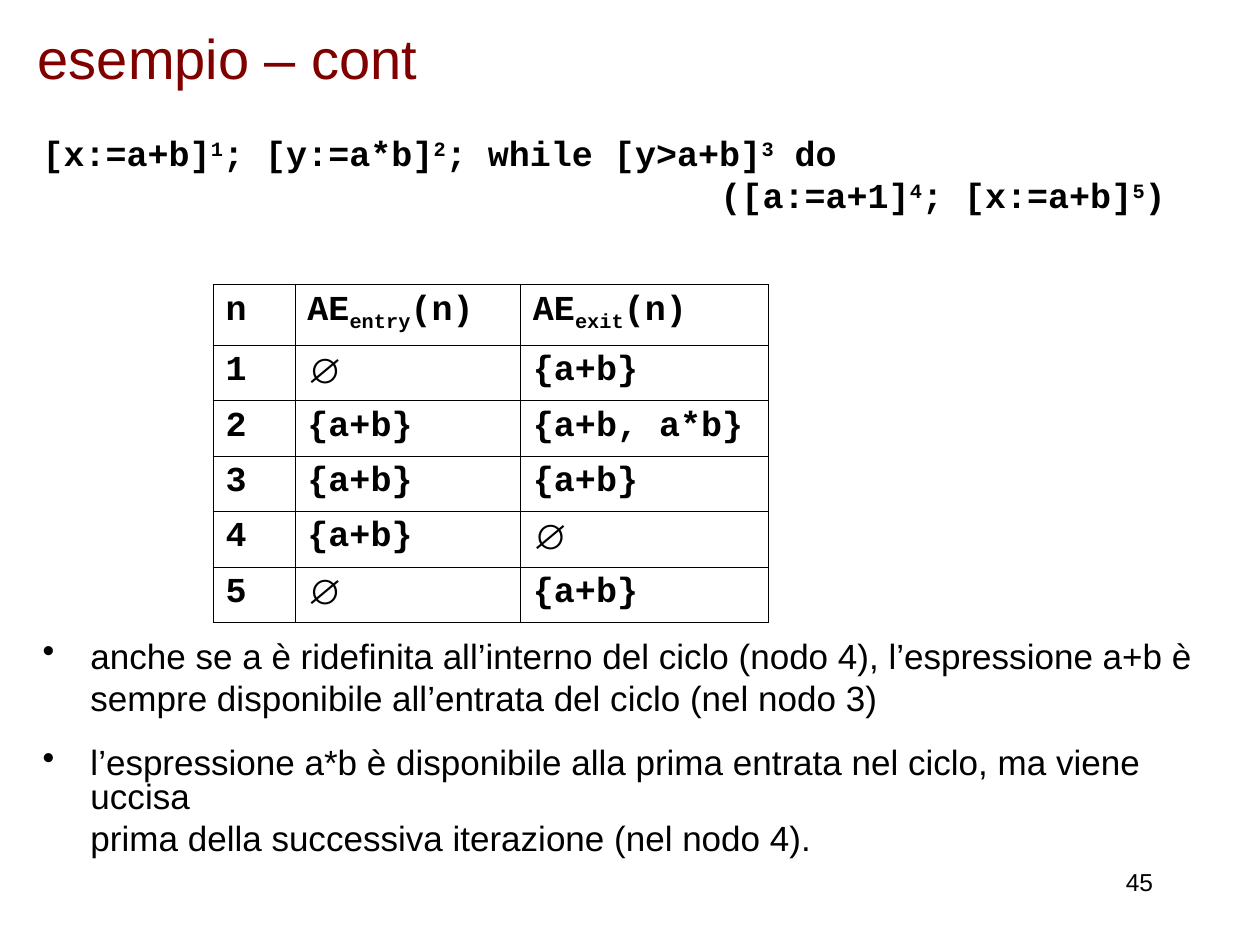
from dataclasses import dataclass
from itertools import product

from pptx import Presentation
from pptx.dml.color import RGBColor as Rgb
from pptx.enum.text import MSO_ANCHOR as Anchor, PP_ALIGN as Align
from pptx.oxml.xmlchemy import OxmlElement as Node
from pptx.util import Inches, Pt


@dataclass(frozen=True)
class Theme:
    ink: str = "000000"
    red: str = "800000"
    sans: str = "Arial"
    mono: str = "Courier New"
    head: int = 32
    body: int = 20
    foot: int = 14
    rule: float = 0.45


@dataclass(frozen=True)
class Bit:
    text: str
    base: int = 0


@dataclass(frozen=True)
class Line:
    bits: tuple[Bit, ...]
    left: float = 0
    gap: float = 5
    mark: bool = False


@dataclass(frozen=True)
class Box:
    left: float
    top: float
    width: float
    height: float

    def spot(self) -> tuple:
        return tuple(map(Inches, (self.left, self.top, self.width, self.height)))


THEME = Theme()
HANG = 0.38
EMPTY = "∅"
SUM = "{a+b}"


def sup(text: str) -> Bit:
    return Bit(text, 30)


def sub(text: str) -> Bit:
    return Bit(text, -25)


CODE = (
    Line((Bit("[x:=a+b]"), sup("1"), Bit("; [y:=a*b]"), sup("2"),
          Bit("; while [y>a+b]"), sup("3"), Bit(" do"))),
    Line((Bit("([a:=a+1]"), sup("4"), Bit("; [x:=a+b]"), sup("5"), Bit(")")), 5.38),
)
NOTES = (
    Line((Bit("anche se a è ridefinita all’interno del ciclo (nodo 4), "
              "l’espressione a+b è"),), HANG, mark=True),
    Line((Bit("sempre disponibile all’entrata del ciclo (nel nodo 3)"),), HANG),
    Line((Bit("l’espressione a*b è disponibile alla prima entrata nel ciclo, "
              "ma viene uccisa"),), HANG, 17.5, True),
    Line((Bit("prima della successiva iterazione (nel nodo 4)."),), HANG),
)
HEADS = (
    (Bit("n"),),
    (Bit("AE"), sub("entry"), Bit("(n)")),
    (Bit("AE"), sub("exit"), Bit("(n)")),
)
SETS = (
    (EMPTY, SUM),
    (SUM, "{a+b, a*b}"),
    (SUM, SUM),
    (SUM, EMPTY),
    (EMPTY, SUM),
)
COLS = (0.65, 1.79, 1.97)
ROWS = (0.48,) + (0.44,) * len(SETS)


def write(para, bit: Bit, face: str, size: int, tone: str = THEME.ink,
          bold: bool = False) -> None:
    run = para.add_run()
    run.text = bit.text
    font = run.font
    font.name, font.size, font.bold = face, Pt(size), bold
    font.color.rgb = Rgb.from_string(tone)
    if bit.base:
        run._r.get_or_add_rPr().set("baseline", str(bit.base * 1000))


def indent(para, line: Line) -> None:
    props = para._p.get_or_add_pPr()
    props.set("marL", str(Inches(line.left)))
    props.set("indent", str(Inches(-HANG if line.mark else 0)))
    if line.mark:
        dot = Node("a:buChar")
        dot.set("char", "•")
        props.append(dot)


def block(slide, box: Box, lines: tuple[Line, ...], face: str, bold: bool) -> None:
    frame = slide.shapes.add_textbox(*box.spot()).text_frame
    frame.word_wrap = True
    for i, line in enumerate(lines):
        para = frame.add_paragraph() if i else frame.paragraphs[0]
        para.line_spacing = 0.8
        para.space_before = Pt(line.gap)
        indent(para, line)
        for bit in line.bits:
            write(para, bit, face, THEME.body, bold=bold)


def border(cell) -> None:
    props = cell._tc.get_or_add_tcPr()
    for side in "LRTB":
        edge = Node(f"a:ln{side}")
        edge.set("w", str(Pt(THEME.rule)))
        fill, tone = Node("a:solidFill"), Node("a:srgbClr")
        tone.set("val", THEME.ink)
        fill.append(tone)
        edge.append(fill)
        props.append(edge)


def grid(slide, box: Box) -> None:
    table = slide.shapes.add_table(len(ROWS), len(COLS), *box.spot()).table
    table.first_row = table.horz_banding = False
    for col, width in zip(table.columns, COLS):
        col.width = Inches(width)
    for row, height in zip(table.rows, ROWS):
        row.height = Inches(height)
    rows = [HEADS] + [
        tuple((Bit(text),) for text in (str(n), *pair))
        for n, pair in enumerate(SETS, 1)
    ]
    for r, c in product(range(len(ROWS)), range(len(COLS))):
        cell = table.cell(r, c)
        border(cell)
        cell.fill.background()
        for bit in rows[r][c]:
            face = THEME.sans if bit.text == EMPTY else THEME.mono
            write(cell.text_frame.paragraphs[0], bit, face, THEME.body, bold=True)


def title(slide, box: Box, text: str) -> None:
    shape = slide.shapes.title
    shape.left, shape.top, shape.width, shape.height = box.spot()
    frame = shape.text_frame
    frame.vertical_anchor = Anchor.MIDDLE
    para = frame.paragraphs[0]
    para.alignment = Align.LEFT
    write(para, Bit(text), THEME.sans, THEME.head, THEME.red)


def number(slide, box: Box, text: str) -> None:
    frame = slide.shapes.add_textbox(*box.spot()).text_frame
    frame.word_wrap = True
    para = frame.paragraphs[0]
    para.alignment = Align.RIGHT
    write(para, Bit(text), THEME.sans, THEME.foot)


def main() -> None:
    deck = Presentation()
    deck.slide_width, deck.slide_height = Inches(10), Inches(7.5)
    slide = deck.slides.add_slide(deck.slide_layouts.get_by_name("Title Only"))
    title(slide, Box(0.2, 0, 9.49, 0.91), "esempio – cont")
    block(slide, Box(0.24, 1.06, 9.76, 0.8), CODE, THEME.mono, True)
    block(slide, Box(0.24, 5.05, 9.76, 2), NOTES, THEME.sans, False)
    grid(slide, Box(1.69, 2.26, sum(COLS), sum(ROWS)))
    number(slide, Box(7.17, 6.83, 2.08, 0.5), "45")
    deck.save("out.pptx")


if __name__ == "__main__":
    main()
